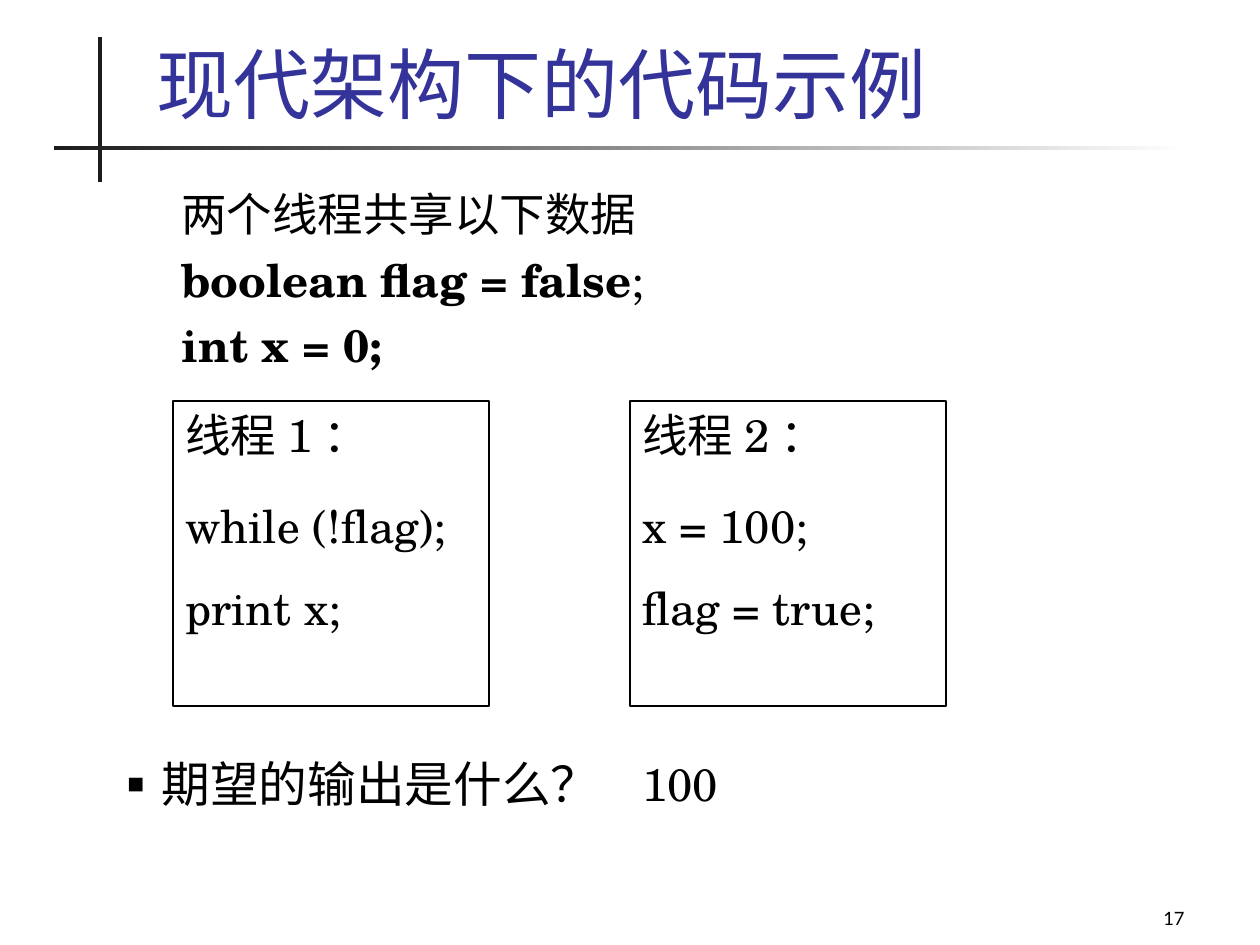
from lxml import etree
from pptx import Presentation
from pptx import util as u
from pptx.dml.color import RGBColor
from pptx.enum import shapes, text
from pptx.oxml.ns import qn

PX_PER_INCH = 126
SERIF = "TeX Gyre Schola"
COLORS = {"title": "333399", "ink": "000000", "rule": "1C1C1C", "page": "FFFFFF"}
CODE_SIZE = 26
THREADS = [
    (173, "线程1：", ["while (!flag);", "print x;"]),
    (630, "线程2：", ["x = 100;", "flag = true;"]),
]


def px(length):
    return u.Emu(round(length * u.Inches(1) / PX_PER_INCH))


def color(name):
    return RGBColor.from_string(COLORS[name])


def add_span(para, words, size, ink="ink", font=SERIF, bold=False):
    span = para.add_run()
    span.text = words
    span.font.name = font
    span.font.size = u.Pt(size)
    span.font.bold = bold
    span.font.color.rgb = color(ink)


def add_box(page, *place, anchor=text.MSO_ANCHOR.TOP):
    box = page.shapes.add_textbox(*map(px, place))
    box.text_frame.word_wrap = True
    box.text_frame.vertical_anchor = anchor
    return box.text_frame


def add_rectangle(page, *place):
    shape = page.shapes.add_shape(shapes.MSO_SHAPE.RECTANGLE, *map(px, place))
    shape.shadow.inherit = False
    return shape


def add_rules(page):
    """Draw the crossed bars beside and below the title."""
    upright = add_rectangle(page, 98, 37, 4, 145)
    upright.fill.solid()
    upright.fill.fore_color.rgb = color("rule")
    level = add_rectangle(page, 54, 146, 1134, 4)
    level.fill.gradient()
    level.fill.gradient_angle = 0
    for stop, name in zip(level.fill.gradient_stops, ("rule", "page")):
        stop.color.rgb = color(name)
    for bar in (upright, level):
        bar.line.fill.background()


def add_shared_data(page):
    frame = add_box(page, 169, 170, 668, 207, anchor=text.MSO_ANCHOR.MIDDLE)
    heading = frame.paragraphs[0]
    add_span(heading, "两个线程共享以下数据", CODE_SIZE)
    code = frame.add_paragraph()
    add_span(code, "boolean flag = false", CODE_SIZE, bold=True)
    add_span(code, ";", CODE_SIZE)
    code.add_line_break()
    add_span(code, "int x = 0;", CODE_SIZE, bold=True)
    for para in (heading, code):
        para.line_spacing = 1.2


def add_thread(page, left, name, lines):
    panel = add_rectangle(page, left, 401, 316, 305)
    panel.fill.background()
    panel.line.color.rgb = color("ink")
    panel.line.width = u.Pt(0.75)
    frame = panel.text_frame
    frame.word_wrap = True
    frame.vertical_anchor = text.MSO_ANCHOR.TOP
    heading = frame.paragraphs[0]
    add_span(heading, name, CODE_SIZE)
    code = frame.add_paragraph()
    code.line_spacing = 1.5
    code.space_before = u.Pt(5.2)
    for index, line in enumerate(lines):
        if index:
            code.add_line_break()
        add_span(code, line, CODE_SIZE)
    for para in (heading, code):
        para.alignment = text.PP_ALIGN.LEFT


def set_bullet(para, mark, indent, percent):
    props = para._p.get_or_add_pPr()
    props.set("marL", str(indent))
    props.set("indent", str(-indent))
    tint = etree.SubElement(props, qn("a:buClr"))
    etree.SubElement(tint, qn("a:srgbClr"), val=COLORS["ink"])
    etree.SubElement(props, qn("a:buSzPct"), val=str(percent * 1000))
    etree.SubElement(props, qn("a:buFont"), typeface=SERIF)
    etree.SubElement(props, qn("a:buChar"), char=mark)


def add_question(page):
    question = add_box(page, 113, 748, 500, 80).paragraphs[0]
    set_bullet(question, "■", px(36), 60)
    add_span(question, "期望的输出是什么？", 27.8)
    answer = add_box(page, 630, 750, 152, 68).paragraphs[0]
    add_span(answer, "100", CODE_SIZE)


def main():
    deck = Presentation()
    deck.slide_width, deck.slide_height = px(1260), px(945)
    page = deck.slides.add_slide(deck.slide_layouts[6])
    add_rules(page)
    title = add_box(page, 144, 31, 1082, 104, anchor=text.MSO_ANCHOR.BOTTOM)
    add_span(title.paragraphs[0], "现代架构下的代码示例", 44, ink="title")
    add_shared_data(page)
    for left, name, lines in THREADS:
        add_thread(page, left, name, lines)
    add_question(page)
    number = add_box(page, 935, 872, 262, 63, anchor=text.MSO_ANCHOR.BOTTOM)
    number.paragraphs[0].alignment = text.PP_ALIGN.RIGHT
    add_span(number.paragraphs[0], "17", 10.5, font="Lato")
    deck.save("out.pptx")


if __name__ == "__main__":
    main()
